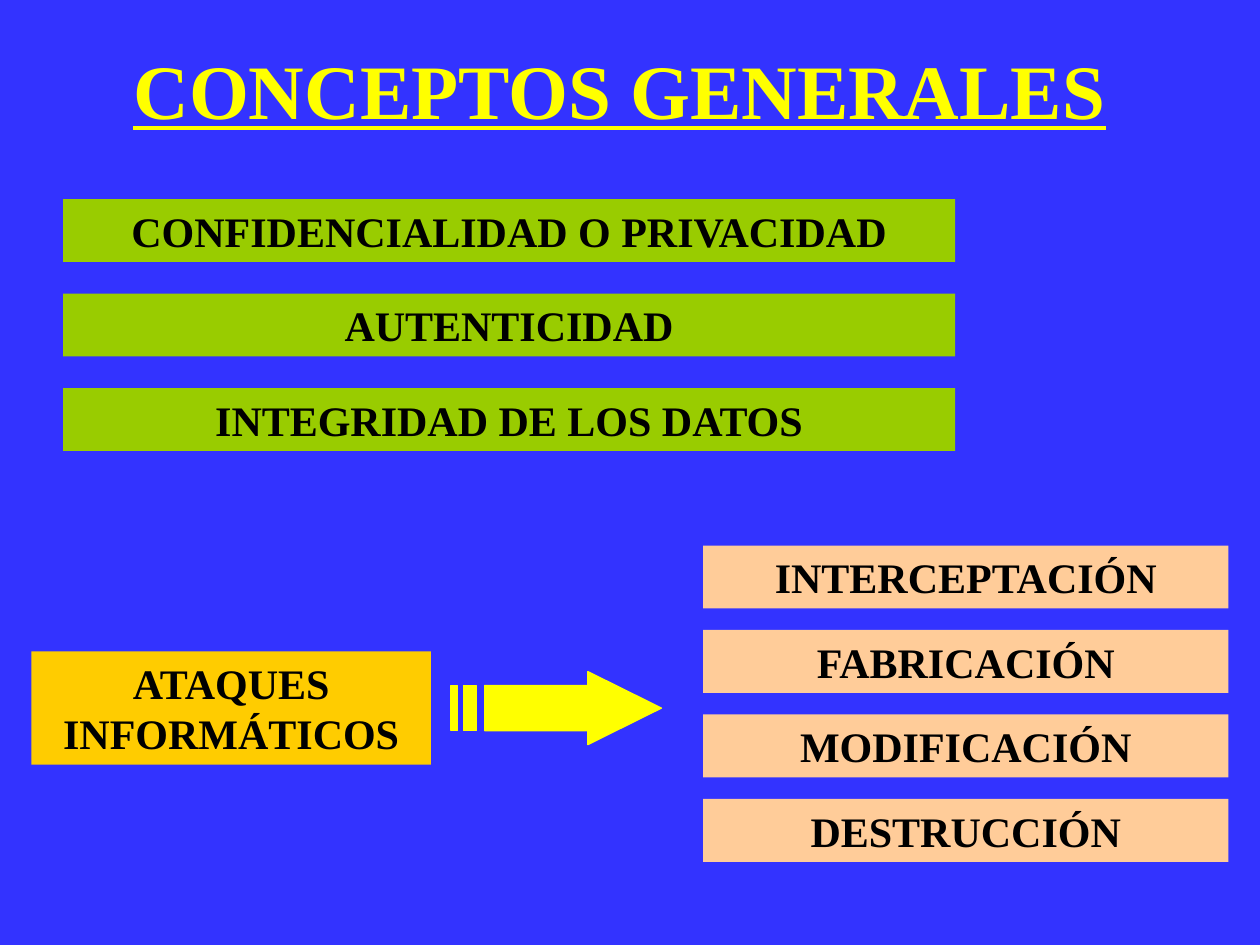
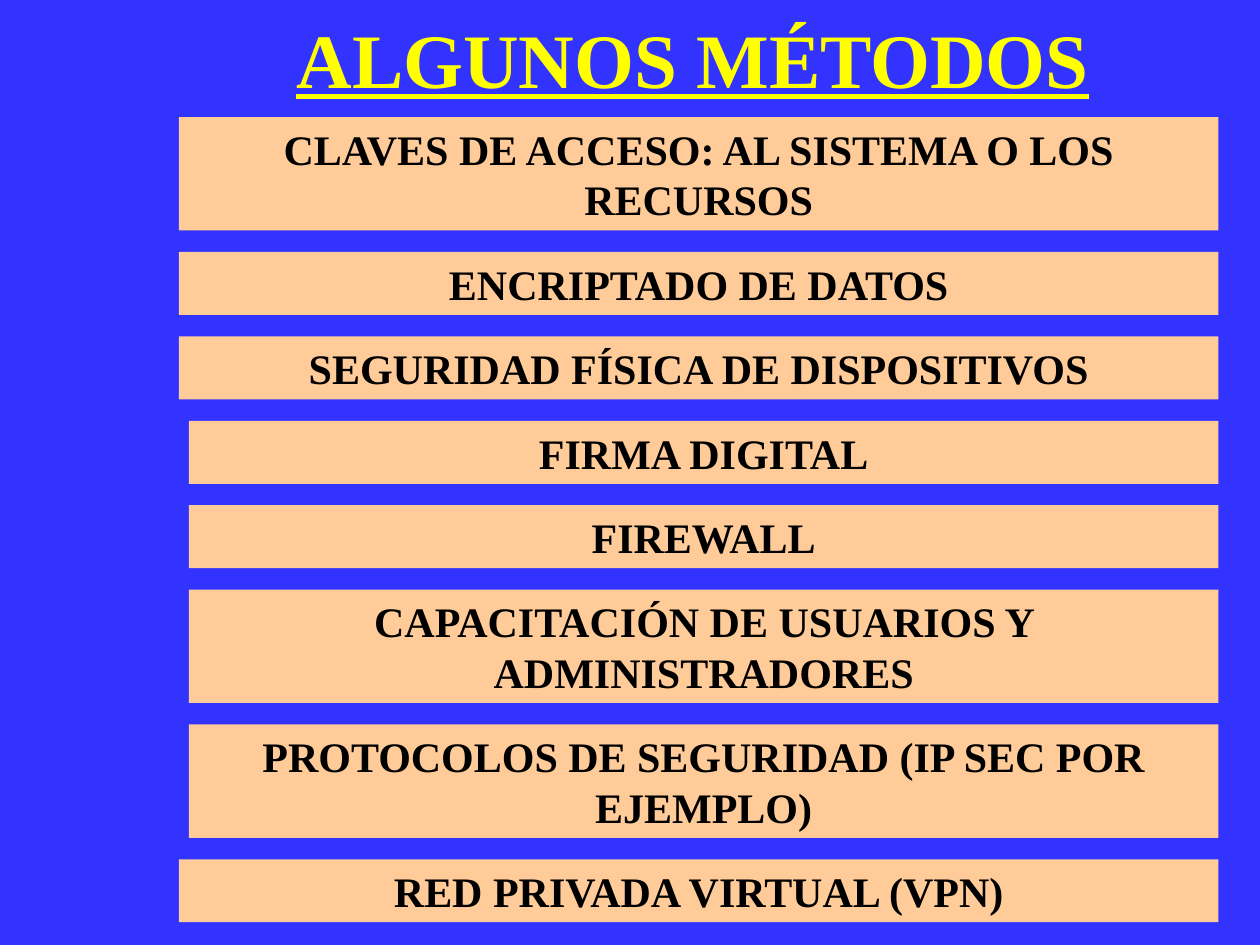
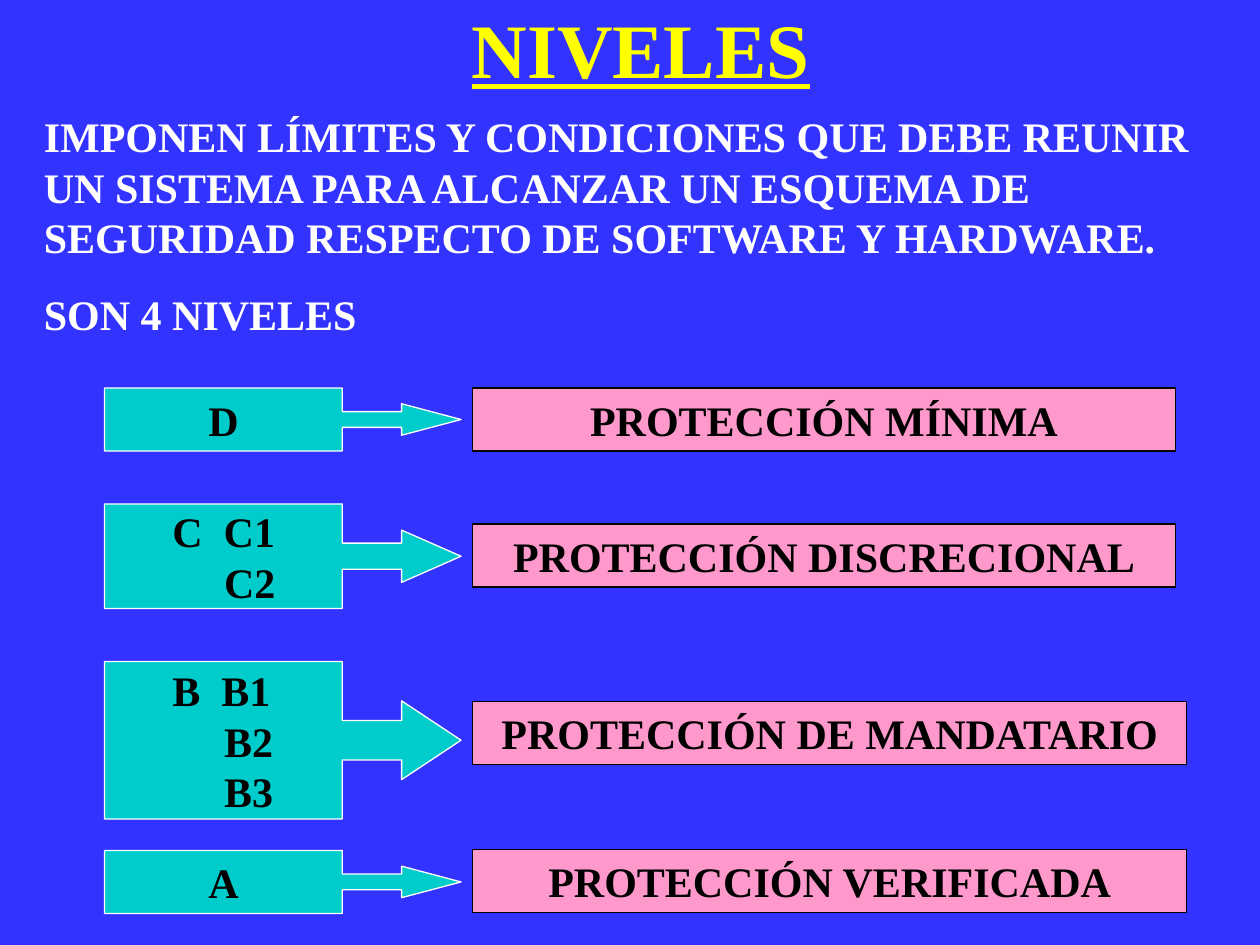
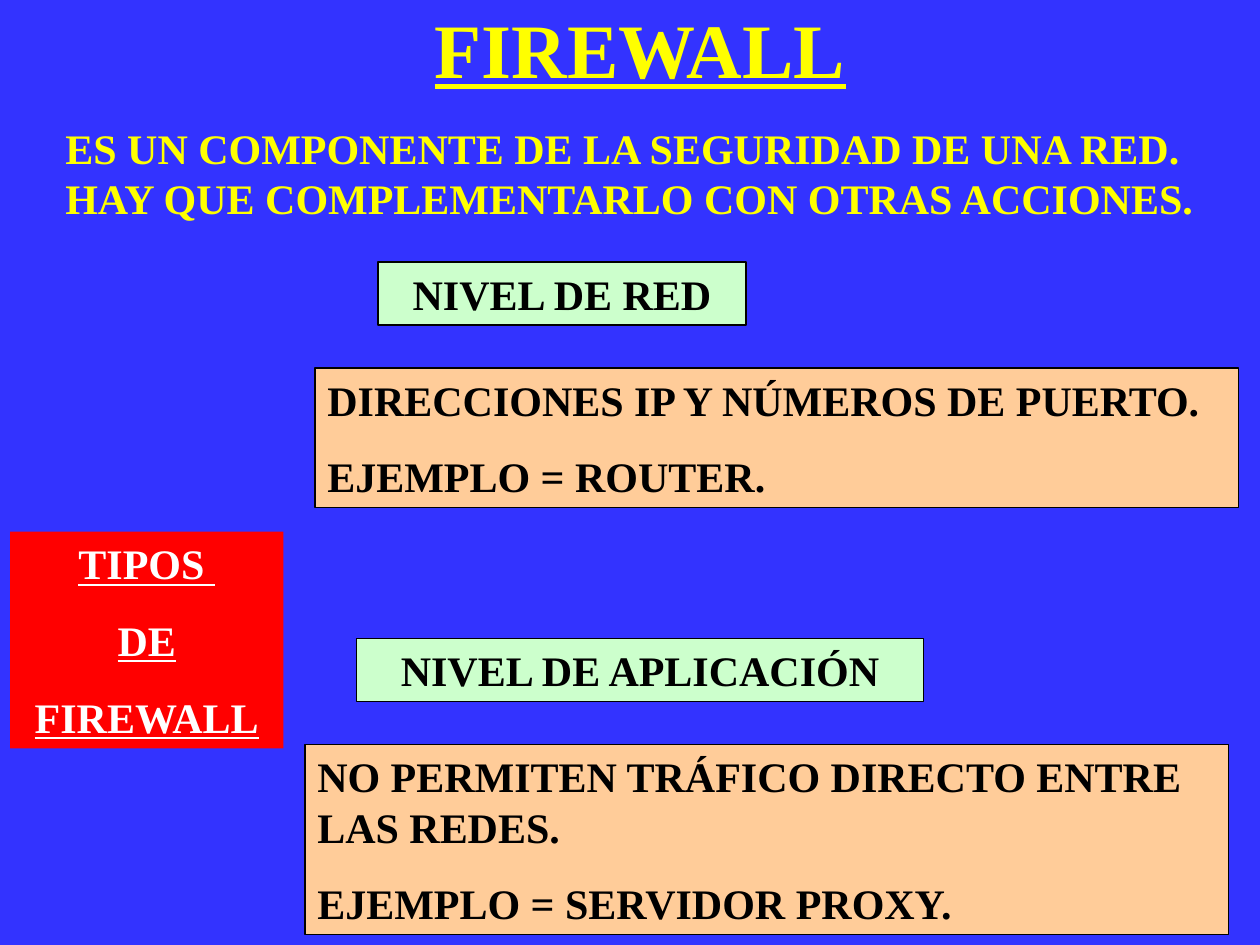
from pptx import Presentation
from pptx.dml.color import RGBColor
from pptx.enum.shapes import MSO_SHAPE
from pptx.enum.text import MSO_ANCHOR, MSO_AUTO_SIZE, PP_ALIGN
from pptx.util import Inches, Pt

FONT = "Times New Roman"
BLUE = RGBColor(0x33, 0x33, 0xFF)
YELLOW = RGBColor(0xFF, 0xFF, 0x00)
BLACK = RGBColor(0x00, 0x00, 0x00)
WHITE = RGBColor(0xFF, 0xFF, 0xFF)
GREEN = RGBColor(0x99, 0xCC, 0x00)
GOLD = RGBColor(0xFF, 0xCC, 0x00)
PEACH = RGBColor(0xFF, 0xCC, 0x99)
PINK = RGBColor(0xFF, 0x99, 0xCC)
TEAL = RGBColor(0x00, 0xCC, 0xCC)
MINT = RGBColor(0xCC, 0xFF, 0xCC)
RED = RGBColor(0xFF, 0x00, 0x00)

LINE_HEIGHT = 0.4
BOX_PADDING = 0.1
LEVEL_INDENT = 0.44
SUBLEVEL_INDENT = 0.85
SUBLEVEL_SPACING = 6


def inches(box):
    return [Inches(v) for v in box]


def add_run(p, text, color=BLACK, size=24, underline=None):
    r = p.add_run()
    r.text = text
    font = r.font
    font.name = FONT
    font.size = Pt(size)
    font.bold = True
    font.underline = underline
    font.color.rgb = color
    return r


def write_paragraphs(tf, texts, color=BLACK, align=PP_ALIGN.CENTER,
                     underline=None):
    for i, text in enumerate(texts):
        p = tf.add_paragraph() if i else tf.paragraphs[0]
        p.alignment = align
        if i:
            p.space_before = Pt(15)
        add_run(p, text, color, underline=underline)


def paint(sp, fill, line=None):
    sp.shadow.inherit = False
    sp.fill.solid()
    sp.fill.fore_color.rgb = fill
    if line is None:
        sp.line.fill.background()
    else:
        sp.line.color.rgb = line
        sp.line.width = Pt(0.75)


def add_box(s, box, texts, fill, line=None, **style):
    sp = s.shapes.add_shape(MSO_SHAPE.RECTANGLE, *inches(box))
    paint(sp, fill, line)
    tf = sp.text_frame
    tf.word_wrap = True
    tf.auto_size = MSO_AUTO_SIZE.SHAPE_TO_FIT_TEXT
    tf.vertical_anchor = MSO_ANCHOR.TOP
    write_paragraphs(tf, texts, **style)


def add_intro(s, box, texts, color):
    tf = s.shapes.add_textbox(*inches(box)).text_frame
    tf.word_wrap = True
    write_paragraphs(tf, texts, color, PP_ALIGN.LEFT)


def add_stack(s, left, top, width, pitch, texts, fill):
    for i, text in enumerate(texts):
        add_box(s, (left, top + i * pitch, width, 0.5), [text], fill)


def add_titled_slide(prs, title, box):
    s = prs.slides.add_slide(prs.slide_layouts[5])
    sp = s.shapes.title
    sp.left, sp.top, sp.width, sp.height = inches(box)
    tf = sp.text_frame
    tf.auto_size = MSO_AUTO_SIZE.NONE
    tf.vertical_anchor = MSO_ANCHOR.MIDDLE
    p = tf.paragraphs[0]
    p.alignment = PP_ALIGN.CENTER
    add_run(p, title, YELLOW, 44, True)
    return s


def add_striped_arrow(s, left, top, width, height):
    upper, lower = 0.19 * height, 0.81 * height
    shaft, neck = 0.16 * width, 0.65 * width

    def stripe(start, end):
        return [(start * width, upper), (end * width, upper),
                (end * width, lower), (start * width, lower)]

    body = [(shaft, upper), (neck, upper), (neck, 0), (width, height / 2),
            (neck, height), (neck, lower), (shaft, lower)]
    first, *others = [[inches(point) for point in outline]
                      for outline in (body, stripe(0, 0.03), stripe(0.06, 0.12))]
    builder = s.shapes.build_freeform(*first[0])
    builder.add_line_segments(first[1:], close=True)
    for outline in others:
        builder.move_to(*outline[0])
        builder.add_line_segments(outline[1:], close=True)
    sp = builder.convert_to_shape(Inches(left), Inches(top))
    paint(sp, YELLOW, YELLOW)


def indent_paragraph(p, margin, first_line):
    p.alignment = PP_ALIGN.LEFT
    pPr = p._p.get_or_add_pPr()
    pPr.set("marL", str(Inches(margin)))
    pPr.set("indent", str(Inches(first_line)))


def write_sublevels(tf, level, sublevels):
    p = tf.paragraphs[0]
    indent_paragraph(p, 0, LEVEL_INDENT)
    add_run(p, level)
    space = add_run(p, " ")
    space._r.get_or_add_rPr().set("spc", str(SUBLEVEL_SPACING * 100))
    add_run(p, sublevels[0])
    for sublevel in sublevels[1:]:
        p = tf.add_paragraph()
        indent_paragraph(p, SUBLEVEL_INDENT, 0)
        add_run(p, sublevel)


def add_level_callout(s, box, level, sublevels):
    sp = s.shapes.add_shape(MSO_SHAPE.RIGHT_ARROW_CALLOUT, *inches(box))
    paint(sp, TEAL, WHITE)
    head_length = 0.472 / min(box[2:])
    for i, value in enumerate((0.25, 0.25, head_length, 0.667)):
        sp.adjustments[i] = value
    tf = sp.text_frame
    tf.word_wrap = True
    tf.vertical_anchor = MSO_ANCHOR.MIDDLE
    if sublevels:
        write_sublevels(tf, level, sublevels)
    else:
        write_paragraphs(tf, [level])


def build_concepts(prs):
    s = add_titled_slide(prs, "CONCEPTOS GENERALES", (0.67, 0.08, 8.5, 1.25))
    add_stack(s, 0.5, 1.58, 7.08, 0.75, [
        "CONFIDENCIALIDAD O PRIVACIDAD",
        "AUTENTICIDAD",
        "INTEGRIDAD DE LOS DATOS",
    ], GREEN)
    add_box(s, (0.25, 5.17, 3.17, 0.9), ["ATAQUES INFORMÁTICOS"], GOLD)
    add_striped_arrow(s, 3.58, 5.33, 1.67, 0.58)
    add_stack(s, 5.58, 4.33, 4.17, 0.67, [
        "INTERCEPTACIÓN", "FABRICACIÓN", "MODIFICACIÓN", "DESTRUCCIÓN",
    ], PEACH)


def build_methods(prs):
    s = add_titled_slide(prs, "ALGUNOS MÉTODOS", (1.25, -0.17, 8.5, 1.25))
    wide, narrow = 1.42, 1.5
    right, gap, top = 9.67, 0.17, 0.93
    methods = [
        (wide, 2, "CLAVES DE ACCESO: AL SISTEMA O LOS RECURSOS"),
        (wide, 1, "ENCRIPTADO DE DATOS"),
        (wide, 1, "SEGURIDAD FÍSICA DE DISPOSITIVOS"),
        (narrow, 1, "FIRMA DIGITAL"),
        (narrow, 1, "FIREWALL"),
        (narrow, 2, "CAPACITACIÓN DE USUARIOS Y ADMINISTRADORES"),
        (narrow, 2, "PROTOCOLOS DE SEGURIDAD (IP SEC POR EJEMPLO)"),
        (wide, 1, "RED PRIVADA VIRTUAL (VPN)"),
    ]
    for left, lines, text in methods:
        height = lines * LINE_HEIGHT + BOX_PADDING
        add_box(s, (left, top, right - left, height), [text], PEACH)
        top += height + gap


def build_levels(prs):
    s = add_titled_slide(prs, "NIVELES", (2.92, 0, 4.33, 0.75))
    add_intro(s, (0.25, 0.83, 9.67, 1.91), [
        "IMPONEN LÍMITES Y CONDICIONES QUE DEBE REUNIR UN SISTEMA PARA "
        "ALCANZAR UN ESQUEMA DE SEGURIDAD RESPECTO DE SOFTWARE Y HARDWARE.",
        "SON 4 NIVELES",
    ], WHITE)
    levels = [
        ("D", [], 3.08, 0.5, "PROTECCIÓN MÍNIMA", 3.08, 5.58),
        ("C", ["C1", "C2"], 4, 0.83, "PROTECCIÓN DISCRECIONAL", 4.16, 5.58),
        ("B", ["B1", "B2", "B3"], 5.25, 1.25,
         "PROTECCIÓN DE MANDATARIO", 5.57, 5.67),
        ("A", [], 6.75, 0.5, "PROTECCIÓN VERIFICADA", 6.74, 5.67),
    ]
    for level, sublevels, top, height, text, box_top, width in levels:
        add_box(s, (3.75, box_top, width, 0.5), [text], PINK, BLACK)
        add_level_callout(s, (0.83, top, 2.83, height), level, sublevels)


def build_firewall(prs):
    s = add_titled_slide(prs, "FIREWALL", (2.58, 0, 5, 0.75))
    add_intro(s, (0.42, 0.92, 9.58, 0.9), [
        "ES UN COMPONENTE DE LA SEGURIDAD DE UNA RED. "
        "HAY QUE COMPLEMENTARLO CON OTRAS ACCIONES.",
    ], YELLOW)
    add_box(s, (0.08, 4.22, 2.17, 1.72), ["TIPOS ", "DE", "FIREWALL"], RED,
            color=WHITE, underline=True)
    types = [
        ("NIVEL DE RED", (3, 2.08, 2.92, 0.5),
         ["DIRECCIONES IP Y NÚMEROS DE PUERTO.", "EJEMPLO = ROUTER."],
         (2.5, 2.92, 7.33, 1.11)),
        ("NIVEL DE APLICACIÓN", (2.83, 5.07, 4.5, 0.5),
         ["NO PERMITEN TRÁFICO DIRECTO ENTRE LAS REDES.",
          "EJEMPLO = SERVIDOR PROXY."],
         (2.42, 5.91, 7.33, 1.51)),
    ]
    for name, name_box, details, details_box in types:
        add_box(s, name_box, [name], MINT, BLACK)
        add_box(s, details_box, details, PEACH, BLACK, align=PP_ALIGN.LEFT)


def main():
    prs = Presentation()
    prs.slide_width, prs.slide_height = Inches(10), Inches(7.5)
    background = prs.slide_master.background.fill
    background.solid()
    background.fore_color.rgb = BLUE
    for build in (build_concepts, build_methods, build_levels, build_firewall):
        build(prs)
    prs.save("out.pptx")


if __name__ == "__main__":
    main()
